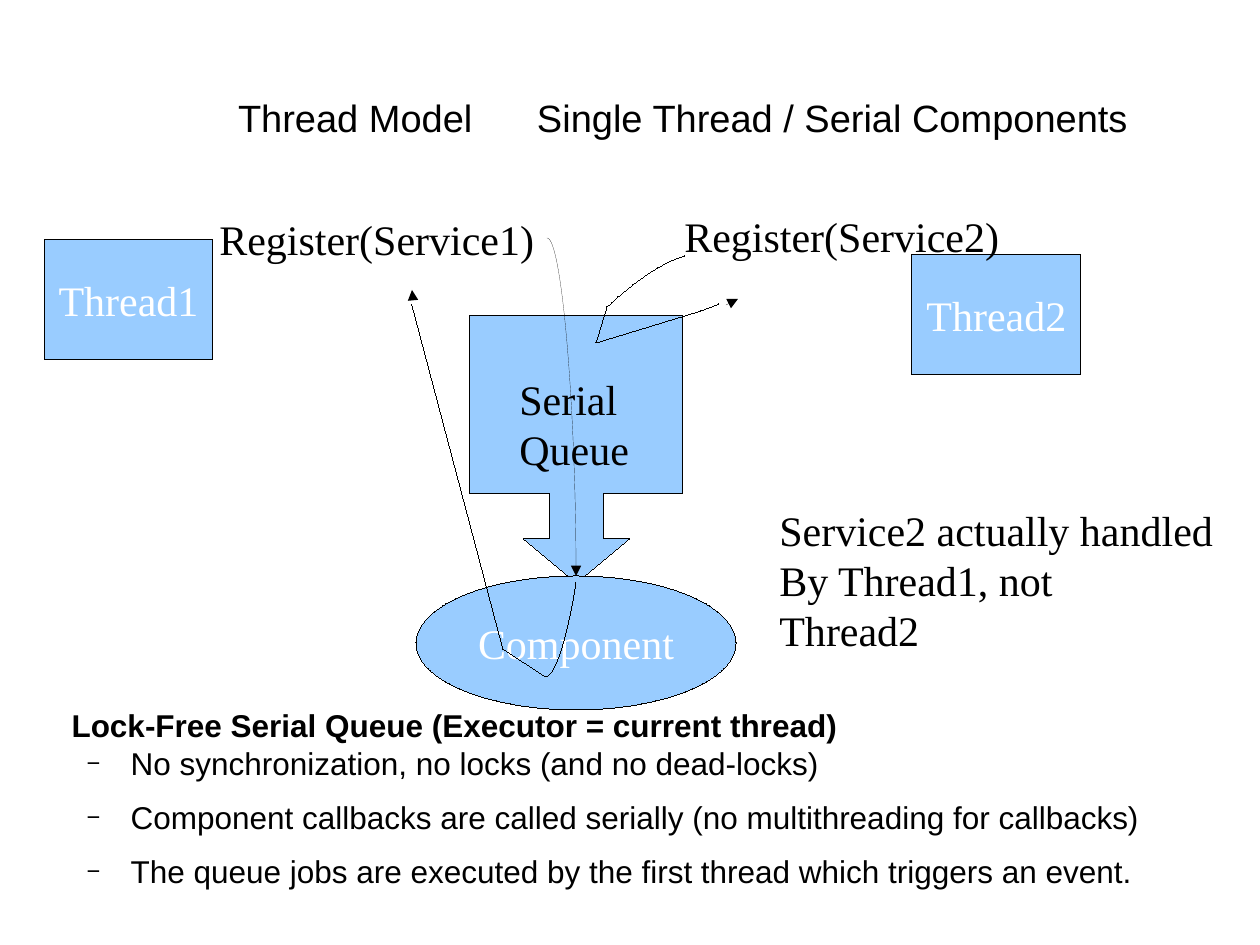
import pptx
import pptx.util
import pptx.dml.color
import pptx.enum.shapes
import pptx.enum.text
import pptx.oxml
import pptx.oxml.ns

PX = 914400 // 126
KIND = pptx.enum.shapes.MSO_SHAPE
LINK = pptx.enum.shapes.MSO_CONNECTOR
ALIGN = pptx.enum.text.PP_ALIGN
ANCHOR = pptx.enum.text.MSO_ANCHOR
FIT = pptx.enum.text.MSO_AUTO_SIZE

COLORS = {"fill": "99CCFF", "ink": "000000", "light": "FFFFFF"}
SANS, SERIF = "Arial", "Times New Roman"

TITLE = "Thread Model\tSingle Thread / Serial Components"
TITLE_BOX, TITLE_TAB = (238, 72, 900, 90), 299
HEAD = "Lock-Free Serial Queue (Executor = current thread)"
POINTS = [
    "No synchronization, no locks (and no dead-locks)",
    "Component callbacks are called serially (no multithreading for callbacks)",
    "The queue jobs are executed by the first thread which triggers an event.",
]
BODY_BOX = (0, 700, 1295, 187)

NODES = [
    (KIND.DOWN_ARROW_CALLOUT, (470, 316, 213, 267), ""),
    (KIND.OVAL, (416, 576, 320, 134), "Component"),
    (KIND.RECTANGLE, (44, 240, 169, 120), "Thread1"),
    (KIND.RECTANGLE, (912, 255, 169, 120), "Thread2"),
]
CALLOUT = (0.25, 0.25, 0.208, 0.667)

# box, left indent, lines
LABELS = [
    ((207, 207, 340, 63), 0, ["Register(Service1)"]),
    ((672, 204, 340, 63), 0, ["Register(Service2)"]),
    ((767, 498, 460, 164), 0,
     ["Service2 actually handled", "By Thread1, not", "Thread2"]),
    ((486, 367, 165, 113), 21, ["Serial", "Queue"]),
]

# four Bezier points, then straight corners
TRAILS = [
    ([(576, 583), (561, 677), (546, 677), (546, 677)],
     [(503, 649), (412, 305)]),
    ([(685, 256), (650, 265), (607, 307), (607, 307)],
     [(596, 343), (701, 311), (719, 304)]),
]
ARROWS = [
    (LINK.CURVE, (547, 238), (576, 576)),
    (LINK.STRAIGHT, (413, 300), (412, 290)),
    (LINK.STRAIGHT, (726, 305), (738, 299)),
]


def emu(box):
    return [v * PX for v in box]


def rgb(name):
    return pptx.dml.color.RGBColor.from_string(COLORS[name])


def add_xml(node, tag, **attrs):
    child = node.makeelement(pptx.oxml.ns.qn(tag), attrs)
    node.append(child)
    return child


def style(par, size, face, color="ink", bold=False):
    for run in par.runs:
        font = run.font
        font.size, font.name, font.bold = pptx.util.Pt(size), face, bold
        font.color.rgb = rgb(color)


def outline(shape):
    """Draw a hairline; a zero width must be written out to count."""
    shape.line.color.rgb = rgb("ink")
    line = shape.line._get_or_add_ln()
    line.set("w", "0")
    return line


def place(shape, box):
    shape.left, shape.top, shape.width, shape.height = emu(box)


def indent(par, left, hang=0):
    props = par._p.get_or_add_pPr()
    props.set("marL", str(left * PX))
    props.set("indent", str(hang * PX))
    return props


def set_title(shape):
    place(shape, TITLE_BOX)
    frame = shape.text_frame
    frame.text = TITLE
    frame.auto_size = FIT.NONE
    frame.vertical_anchor = ANCHOR.MIDDLE
    frame.margin_left = frame.margin_right = 0
    frame.margin_top = frame.margin_bottom = 0
    par = frame.paragraphs[0]
    par.alignment = ALIGN.LEFT
    tabs = add_xml(par._p.get_or_add_pPr(), "a:tabLst")
    add_xml(tabs, "a:tab", pos=str(TITLE_TAB * PX), algn="l")
    style(par, 21.7, SANS)


def set_body(shape):
    place(shape, BODY_BOX)
    frame = shape.text_frame
    frame.text = "\n".join([HEAD] + POINTS)
    frame.auto_size = FIT.NONE
    for i, par in enumerate(frame.paragraphs):
        par.level = min(i, 1)
        par.space_before = pptx.util.Pt(0 if i else 6.2)
        par.space_after = pptx.util.Pt(9.3 if i else 0)
        style(par, 18, SANS, bold=i == 0)
        if i == 0:
            add_xml(indent(par, 59), "a:buNone")
            continue
        props = indent(par, 118, -44)
        tint = add_xml(props, "a:buClr")
        add_xml(tint, "a:srgbClr", val=COLORS["ink"])
        add_xml(props, "a:buSzPct", val="75000")
        add_xml(props, "a:buFont", typeface=SANS)
        add_xml(props, "a:buChar", char="−")


def add_node(slide, kind, box, text):
    shape = slide.shapes.add_shape(kind, *emu(box))
    shape.shadow.inherit = False
    shape.fill.solid()
    shape.fill.fore_color.rgb = rgb("fill")
    outline(shape)
    if kind == KIND.DOWN_ARROW_CALLOUT:
        for i, value in enumerate(CALLOUT):
            shape.adjustments[i] = value
    if text:
        frame = shape.text_frame
        frame.text = text
        frame.word_wrap = False
        frame.vertical_anchor = ANCHOR.MIDDLE
        frame.paragraphs[0].alignment = ALIGN.CENTER
        style(frame.paragraphs[0], 24, SERIF, "light")


def add_label(slide, box, left, lines):
    frame = slide.shapes.add_textbox(*emu(box)).text_frame
    frame.text = "\n".join(lines)
    frame.word_wrap = False
    for par in frame.paragraphs:
        indent(par, left)
        style(par, 24, SERIF)


def bend(knots, steps=16):
    """Return points along a cubic Bezier curve."""
    out = []
    for i in range(steps + 1):
        t = i / steps
        u = 1 - t
        parts = (u ** 3, 3 * u * u * t, 3 * u * t * t, t ** 3)
        out.append([sum(w * k[d] for w, k in zip(parts, knots))
                    for d in (0, 1)])
    return out


def add_trail(slide, knots, corners):
    dots = [(round(x * PX), round(y * PX)) for x, y in bend(knots) + corners]
    pen = slide.shapes.build_freeform(*dots[0])
    pen.add_line_segments(dots[1:], close=False)
    shape = pen.convert_to_shape()
    shape.shadow.inherit = False
    shape.fill.background()
    outline(shape)


def add_arrow(slide, kind, start, end):
    link = slide.shapes.add_connector(kind, *emu(start + end))
    add_xml(outline(link), "a:tailEnd", type="triangle")
    props = link._element.spPr
    add_xml(props, "a:effectLst")
    if kind == LINK.CURVE:
        shape = props.find(pptx.oxml.ns.qn("a:prstGeom"))
        shape.set("prst", "curvedConnector2")


def main():
    deck = pptx.Presentation()
    deck.slide_width, deck.slide_height = emu((1260, 945))
    slide = deck.slides.add_slide(deck.slide_layouts[1])
    set_title(slide.shapes.title)
    set_body(slide.placeholders[1])
    for node in NODES:
        add_node(slide, *node)
    for label in LABELS:
        add_label(slide, *label)
    for trail in TRAILS:
        add_trail(slide, *trail)
    for arrow in ARROWS:
        add_arrow(slide, *arrow)
    deck.save("out.pptx")


if __name__ == "__main__":
    main()
